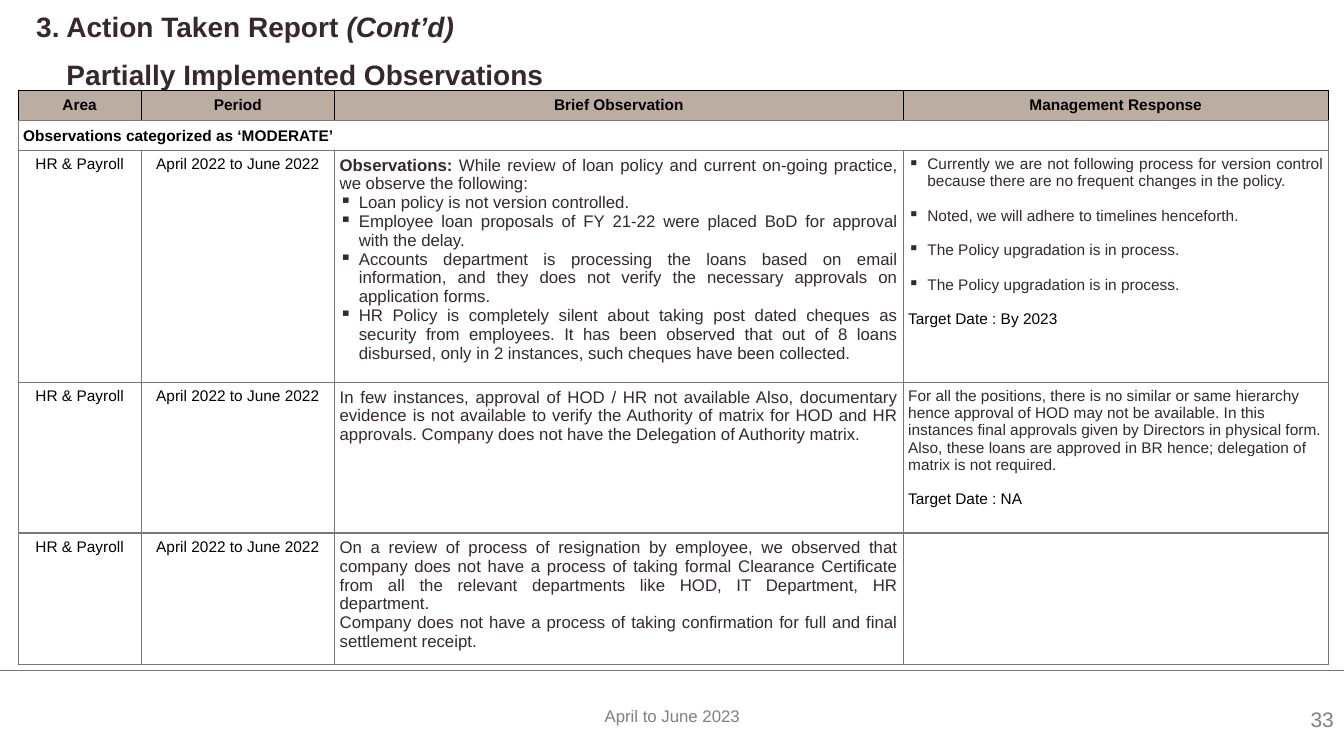
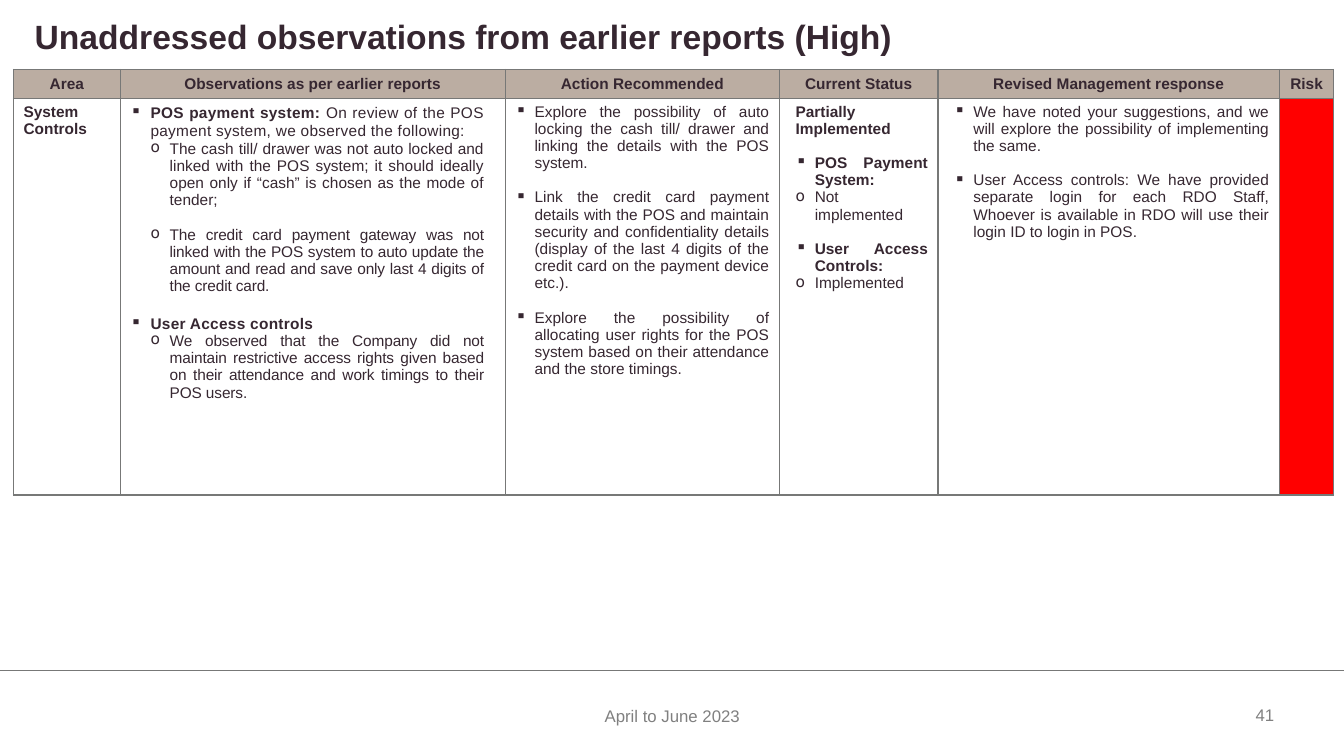
"""Build two audit report slides that track earlier observations."""
from dataclasses import dataclass, replace

from lxml.etree import SubElement
from pptx import Presentation
from pptx.dml.color import RGBColor
from pptx.enum.shapes import MSO_CONNECTOR
from pptx.enum.text import MSO_ANCHOR, PP_ALIGN
from pptx.oxml.ns import qn
from pptx.util import Inches, Pt


@dataclass(frozen=True)
class Theme:
    font: str = "Arial"
    ink: str = "362731"
    black: str = "000000"
    grey: str = "808080"
    rule: str = "777877"
    header: str = "BBADA2"
    high_risk: str = "FF0000"
    small: int = 11
    body: int = 12
    number: int = 15
    subtitle: int = 20
    title: int = 24


@dataclass(frozen=True)
class Style:
    size: int
    color: str
    bold: bool = False
    align: PP_ALIGN = PP_ALIGN.LEFT
    left: float = 0
    hang: float = 0
    bullet: str = ""
    before: float = 0
    spacing: float = 1
    tracking: int = 0


@dataclass(frozen=True)
class Page:
    titles: list
    title_at: tuple
    number: str
    number_style: Style
    number_at: tuple
    table_at: tuple
    columns: list
    rows: list
    cells: list
    header_line: tuple
    side_margin: float


theme = Theme()
GAP = 12.3

title = Style(theme.title, theme.ink, bold=True, spacing=0.9)
subtitle = replace(title, size=theme.subtitle)
second_title = replace(subtitle, left=0.3, before=12.8)
footer = Style(theme.body, theme.grey, align=PP_ALIGN.CENTER)
large_number = replace(footer, size=theme.number, align=PP_ALIGN.RIGHT)

black_header = Style(theme.small, theme.black, bold=True, align=PP_ALIGN.CENTER)
ink_header = replace(black_header, color=theme.ink)
category = replace(black_header, align=PP_ALIGN.LEFT)
label = replace(black_header, bold=False)
target = replace(label, align=PP_ALIGN.LEFT, before=GAP)

finding = Style(theme.body, theme.ink, align=PP_ALIGN.JUSTIFY)
finding_point = replace(finding, left=0.19, hang=0.19, bullet="▪")
reply = Style(theme.small, theme.ink)
point = replace(finding_point, size=theme.small)
next_point = replace(point, before=GAP)

area = replace(reply, bold=True)
topic = replace(point, left=0.2, hang=0.2, spacing=1.07, tracking=20)
next_topic = replace(topic, bold=True, before=13.6)
detail = replace(point, left=0.39, bullet="o", before=0.2)
tight_detail = replace(detail, tracking=-10)
next_detail = replace(tight_detail, before=12.6)
status = replace(area, align=PP_ALIGN.JUSTIFY, left=0.06)
inset_point = replace(point, left=0.25)
next_inset_point = replace(inset_point, before=GAP)
status_topic = replace(next_inset_point, bold=True)
status_detail = replace(inset_point, bullet="o")

payroll = [[(label, "HR & Payroll")], [(label, "April 2022 to June 2022")]]

pages = [
    Page(
        titles=[
            (subtitle, "3. Action Taken Report |(Cont’d)"),
            (second_title, "Partially Implemented Observations"),
        ],
        title_at=(2.7, 1.75, 92, 10),
        number="33",
        number_style=large_number,
        number_at=(77.5, 93.47, 21.75, 4),
        table_at=(1.35, 11.95),
        columns=[9.15, 14.4, 42.3, 31.65],
        rows=[4, 4, 28.7, 19.9, 16.3],
        cells=[
            [[(black_header, name)] for name in
             ("Area", "Period", "Brief Observation", "Management Response")],
            [[(category, "Observations categorized as ‘MODERATE’")], [], [], []],
            payroll + [
                [
                    (finding, "Observations: |While review of loan policy and current "
                              "on-going practice, we observe the following:"),
                    (finding_point, "Loan policy is not version controlled."),
                    (finding_point, "Employee loan proposals of FY 21-22 were placed BoD "
                                    "for approval with the delay."),
                    (finding_point, "Accounts department is processing the loans based on "
                                    "email information, and they does not verify the "
                                    "necessary approvals on application forms."),
                    (finding_point, "HR Policy is completely silent about taking post dated "
                                    "cheques as security from employees. It has been "
                                    "observed that out of 8 loans disbursed, only in 2 "
                                    "instances, such cheques have been collected."),
                ],
                [
                    (point, "Currently we are not following process for version control "
                            "because there are no frequent changes in the policy."),
                    (next_point, "Noted, we will adhere to timelines henceforth."),
                    (next_point, "The Policy upgradation is in process."),
                    (next_point, "The Policy upgradation is in process."),
                    (target, "Target Date : By 2023"),
                ],
            ],
            payroll + [
                [(finding, "In few instances, approval of HOD / HR not available Also, "
                           "documentary evidence is not available to verify the Authority "
                           "of matrix for HOD and HR approvals. Company does not have the "
                           "Delegation of Authority matrix.")],
                [
                    (reply, "For all the positions, there is no similar or same hierarchy "
                            "hence approval of HOD may not be available. In this instances "
                            "final approvals given by Directors in physical form. Also, "
                            "these loans are approved in BR hence; delegation of matrix is "
                            "not required."),
                    (target, "Target Date : NA"),
                ],
            ],
            payroll + [
                [
                    (finding, "On a review of process of resignation by employee, we "
                              "observed that company does not have a process of taking "
                              "formal Clearance Certificate from all the relevant "
                              "departments like HOD, IT Department, HR department."),
                    (finding, "Company does not have a process of taking confirmation for "
                              "full and final settlement receipt."),
                ],
                [],
            ],
        ],
        header_line=(theme.black, 0.5),
        side_margin=0.05,
    ),
    Page(
        titles=[(title, "Unaddressed observations from earlier reports (High)")],
        title_at=(2.58, 2.67, 67, 5),
        number="41",
        number_style=footer,
        number_at=(89.4, 93.2, 9.45, 4),
        table_at=(1, 9.2),
        columns=[7.95, 28.65, 20.4, 11.8, 25.4, 4.05],
        rows=[3.7, 52.5],
        cells=[
            [[(ink_header, name)] for name in
             ("Area", "Observations as per earlier reports", "Action Recommended",
              "Current Status", "Revised Management response", "Risk")],
            [
                [(area, "System Controls")],
                [
                    (topic, "POS payment system: |On review of the POS payment system, we "
                            "observed the following:"),
                    (detail, "The cash till/ drawer was not auto locked and linked with the "
                             "POS system; it should ideally open only if “cash” is chosen "
                             "as the mode of tender;"),
                    (next_detail, "The credit card payment gateway was not linked with the "
                                  "POS system to auto update the amount and read and save "
                                  "only last 4 digits of the credit card."),
                    (next_topic, "User Access controls"),
                    (tight_detail, "We observed that the Company did not maintain "
                                   "restrictive access rights given based on their "
                                   "attendance and work timings to their POS users."),
                ],
                [
                    (point, "Explore the possibility of auto locking the cash till/ drawer "
                            "and linking the details with the POS system."),
                    (next_point, "Link the credit card payment details with the POS and "
                                 "maintain security and confidentiality details (display "
                                 "of the last 4 digits of the credit card on the payment "
                                 "device etc.)."),
                    (next_point, "Explore the possibility of allocating user rights for "
                                 "the POS system based on their attendance and the store "
                                 "timings."),
                ],
                [
                    (status, "Partially Implemented"),
                    (status_topic, "POS Payment System:"),
                    (status_detail, "Not implemented"),
                    (status_topic, "User Access Controls:"),
                    (status_detail, "Implemented"),
                ],
                [
                    (inset_point, "We have noted your suggestions, and we will explore the "
                                  "possibility of implementing the same."),
                    (next_inset_point, "User Access controls: We have provided separate "
                                       "login for each RDO Staff, Whoever is available in "
                                       "RDO will use their login ID to login in POS."),
                ],
                [],
            ],
        ],
        header_line=(theme.rule, 1),
        side_margin=0.1,
    ),
]

deck = Presentation()
deck.slide_width, deck.slide_height = Inches(13.33), Inches(7.5)
column, row = deck.slide_width / 100, deck.slide_height / 100


def write(frame, lines):
    for index, (style, text) in enumerate(lines):
        para = frame.add_paragraph() if index else frame.paragraphs[0]
        para.alignment = style.align
        para.line_spacing = style.spacing
        para.space_before = Pt(style.before)
        properties = para._p.get_or_add_pPr()
        properties.set("marL", str(Inches(style.left)))
        properties.set("indent", str(-Inches(style.hang)))
        if style.bullet:
            SubElement(properties, qn("a:buChar"), char=style.bullet)
        parts = text.split("|")
        for order, part in enumerate(parts, 1):
            span = para.add_run()
            span.text = part
            span.font.name, span.font.size = theme.font, Pt(style.size)
            span.font.bold = style.bold or order < len(parts)
            span.font.color.rgb = RGBColor.from_string(style.color)
            if style.tracking:
                span._r.get_or_add_rPr().set("spc", str(style.tracking))


def add_text(page, place, lines):
    left, top, width, height = place
    box = page.shapes.add_textbox(
        int(left * column), int(top * row), int(width * column), int(height * row))
    frame = box.text_frame
    frame.word_wrap = True
    frame.margin_left = frame.margin_right = frame.margin_top = frame.margin_bottom = 0
    write(frame, lines)
    return frame


for content in pages:
    page = deck.slides.add_slide(deck.slide_layouts[6])
    height = int(88.67 * row)
    line = page.shapes.add_connector(
        MSO_CONNECTOR.STRAIGHT, 0, height, deck.slide_width, height)
    line.line.color.rgb, line.line.width = RGBColor.from_string(theme.rule), Pt(0.5)
    SubElement(line._element.spPr, qn("a:effectLst"))

    heading = add_text(page, content.title_at, content.titles)
    for span in heading.paragraphs[0].runs[1:]:
        span.font.italic = True
    add_text(page, (33.15, 93.33, 33.75, 4), [(footer, "April to June 2023")])
    add_text(page, content.number_at, [(content.number_style, content.number)])

    left, top = content.table_at
    table = page.shapes.add_table(
        len(content.rows), len(content.columns), int(left * column), int(top * row),
        int(sum(content.columns) * column), int(sum(content.rows) * row)).table
    table.first_row = table.horz_banding = False
    for grid_column, share in zip(table.columns, content.columns):
        grid_column.width = int(share * column)
    for y, (share, cells) in enumerate(zip(content.rows, content.cells)):
        table.rows[y].height = int(share * row)
        for x, lines in enumerate(cells):
            cell = table.cell(y, x)
            cell.margin_left = cell.margin_right = Inches(content.side_margin)
            cell.margin_top = cell.margin_bottom = Inches(0.05)
            color, weight = (theme.rule, 1) if y else content.header_line
            for side in ("lnL", "lnR", "lnT", "lnB"):
                edge = SubElement(cell._tc.get_or_add_tcPr(), qn(f"a:{side}"), w=str(Pt(weight)))
                SubElement(SubElement(edge, qn("a:solidFill")), qn("a:srgbClr"), val=color)
            if y:
                cell.fill.background()
            else:
                cell.fill.solid()
                cell.fill.fore_color.rgb = RGBColor.from_string(theme.header)
                cell.vertical_anchor = MSO_ANCHOR.MIDDLE
            write(cell.text_frame, lines)
    if content is pages[0]:
        table.cell(1, 0).merge(table.cell(1, 3))
        table.cell(1, 0).vertical_anchor = MSO_ANCHOR.MIDDLE
    else:
        table.cell(1, 1).margin_right = Inches(0.21)
        table.cell(1, 5).fill.solid()
        table.cell(1, 5).fill.fore_color.rgb = RGBColor.from_string(theme.high_risk)

deck.save("out.pptx")
